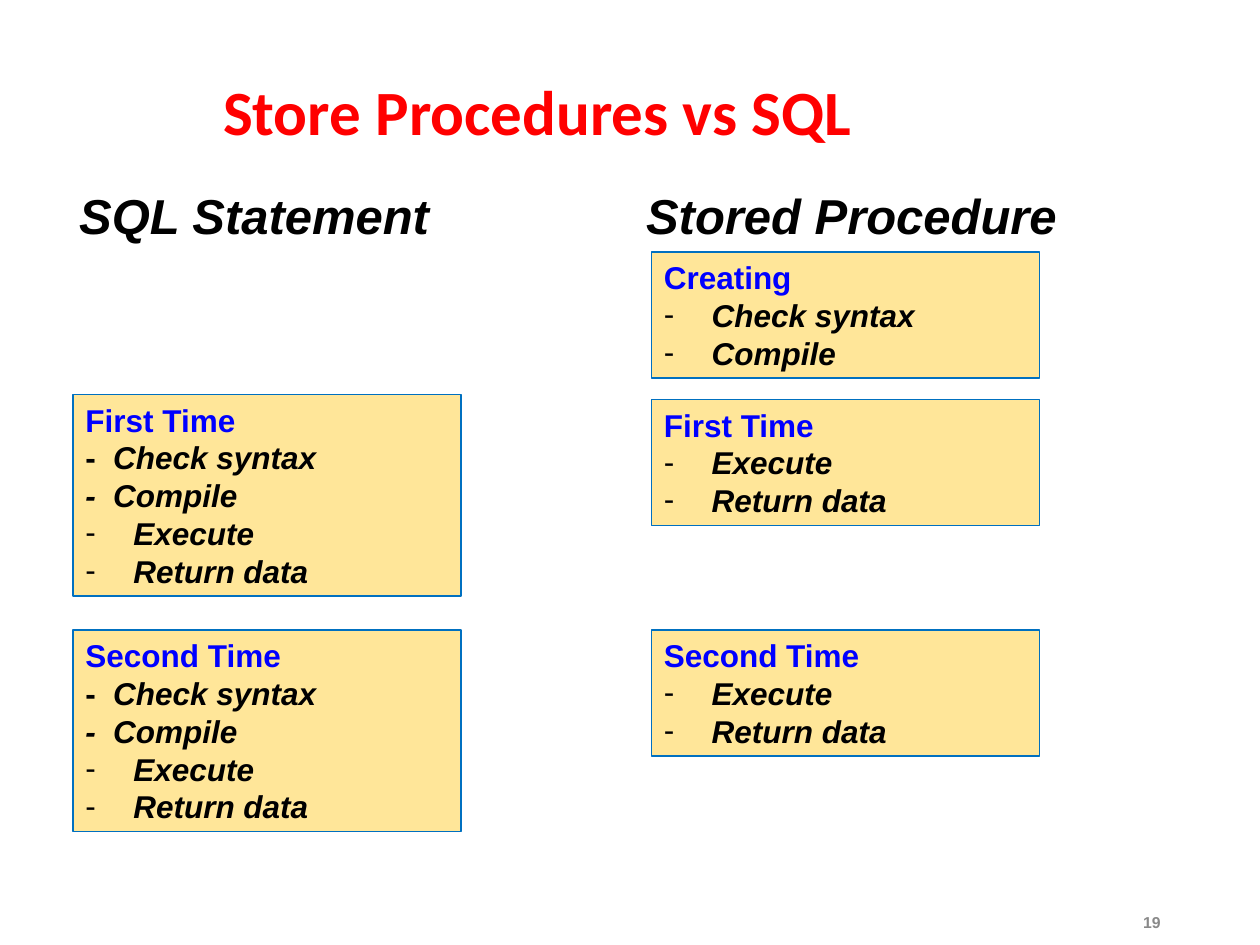
import dataclasses

import lxml.etree
import pptx
import pptx.dml.color
import pptx.enum.shapes
import pptx.enum.text
import pptx.oxml.ns
import pptx.util

Inches = pptx.util.Inches
ALIGN = pptx.enum.text.PP_ALIGN
ANCHOR = pptx.enum.text.MSO_ANCHOR


@dataclasses.dataclass(frozen=True)
class Theme:
    red: str = "FF0000"
    blue: str = "0000FF"
    black: str = "000000"
    grey: str = "898989"
    card_fill: str = "FFE699"
    card_line: str = "0070C0"
    title_size: int = 36
    heading_size: int = 28
    body_size: int = 18
    number_size: int = 9


THEME = Theme()
TITLE = dict(name="Calibri", size=THEME.title_size, color=THEME.red, bold=True)
HEADING = dict(name="Arial", size=THEME.heading_size, color=THEME.black,
               bold=True, italic=True)
STAGE = dict(name="Arial", size=THEME.body_size, color=THEME.blue, bold=True)
STEP = dict(STAGE, color=THEME.black, italic=True)
DASH = dict(STEP, italic=False)
NUMBER = dict(name="Arial", size=THEME.number_size, color=THEME.grey, bold=True)

CARD_WIDTH = 3.08
LEFT_X, RIGHT_X = 0.58, 5.17
TYPED_INDENT, BULLET_INDENT = 0.22, 0.38


def rgb(value):
    return pptx.dml.color.RGBColor.from_string(value)


def add_run(paragraph, text, style):
    run = paragraph.add_run()
    run.text = text
    for key, value in style.items():
        if key == "color":
            run.font.color.rgb = rgb(value)
        else:
            setattr(run.font, key, pptx.util.Pt(value) if key == "size" else value)


def set_hanging(paragraph, indent):
    properties = paragraph._p.get_or_add_pPr()
    properties.set("marL", str(Inches(indent)))
    properties.set("indent", str(-Inches(indent)))
    return properties


def add_bullet(paragraph):
    properties = set_hanging(paragraph, BULLET_INDENT)
    qn = pptx.oxml.ns.qn
    color = lxml.etree.SubElement(properties, qn("a:buClr"))
    lxml.etree.SubElement(color, qn("a:srgbClr"), val=THEME.black)
    lxml.etree.SubElement(properties, qn("a:buFont"), typeface="Arial")
    lxml.etree.SubElement(properties, qn("a:buChar"), char="-")


def add_title(slide, text):
    title = slide.shapes.title
    box = dict(left=1.67, top=0.4, width=7.64, height=1.03)
    for key, value in box.items():
        setattr(title, key, Inches(value))
    frame = title.text_frame
    frame.auto_size = pptx.enum.text.MSO_AUTO_SIZE.NONE
    frame.vertical_anchor = ANCHOR.MIDDLE
    paragraph = frame.paragraphs[0]
    paragraph.alignment = ALIGN.LEFT
    paragraph.line_spacing = 0.9
    add_run(paragraph, text, TITLE)


def add_label(slide, text, box, style, align=ALIGN.LEFT, anchor=ANCHOR.TOP):
    label = slide.shapes.add_textbox(*map(Inches, box))
    frame = label.text_frame
    frame.word_wrap = True
    frame.vertical_anchor = anchor
    frame.paragraphs[0].alignment = align
    add_run(frame.paragraphs[0], text, style)


def add_card(slide, left, top, height, stage, typed_steps, bullet_steps):
    card = slide.shapes.add_shape(
        pptx.enum.shapes.MSO_SHAPE.RECTANGLE,
        *map(Inches, (left, top, CARD_WIDTH, height)))
    card.shadow.inherit = False
    card.fill.solid()
    card.fill.fore_color.rgb = rgb(THEME.card_fill)
    card.line.color.rgb = rgb(THEME.card_line)
    card.line.width = pptx.util.Pt(0.75)

    frame = card.text_frame
    frame.word_wrap = True
    frame.vertical_anchor = ANCHOR.TOP
    add_run(frame.paragraphs[0], stage, STAGE)
    # Typed dashes: only the first one is upright
    for index, step in enumerate(typed_steps):
        paragraph = frame.add_paragraph()
        set_hanging(paragraph, TYPED_INDENT)
        add_run(paragraph, "-\t", STEP if index else DASH)
        add_run(paragraph, step, STEP)
    for step in bullet_steps:
        paragraph = frame.add_paragraph()
        add_bullet(paragraph)
        add_run(paragraph, step, STEP)
    for paragraph in frame.paragraphs:
        paragraph.alignment = ALIGN.LEFT


def main():
    deck = pptx.Presentation()
    deck.slide_width, deck.slide_height = Inches(10), Inches(7.5)
    slide = deck.slides.add_slide(deck.slide_layouts[5])

    # Title and page number
    add_title(slide, "Store Procedures vs SQL")
    add_label(slide, "19", (7.06, 7.14, 2.25, 0.36), NUMBER,
              ALIGN.RIGHT, ANCHOR.MIDDLE)

    # Column headings
    add_label(slide, "SQL Statement", (0.53, 1.42, 2.98, 0.57), HEADING)
    add_label(slide, "Stored Procedure", (5.03, 1.42, 3.56, 0.57), HEADING)

    # Stages of each approach
    prepare = ["Check syntax", "Compile"]
    run = ["Execute", "Return data"]
    for top, stage in ((3.13, "First Time"), (5, "Second Time")):
        add_card(slide, LEFT_X, top, 1.6, stage, prepare, run)
    for top, stage, steps in ((2, "Creating", prepare),
                              (3.17, "First Time", run),
                              (5, "Second Time", run)):
        add_card(slide, RIGHT_X, top, 1, stage, [], steps)

    deck.save("out.pptx")


if __name__ == "__main__":
    main()
